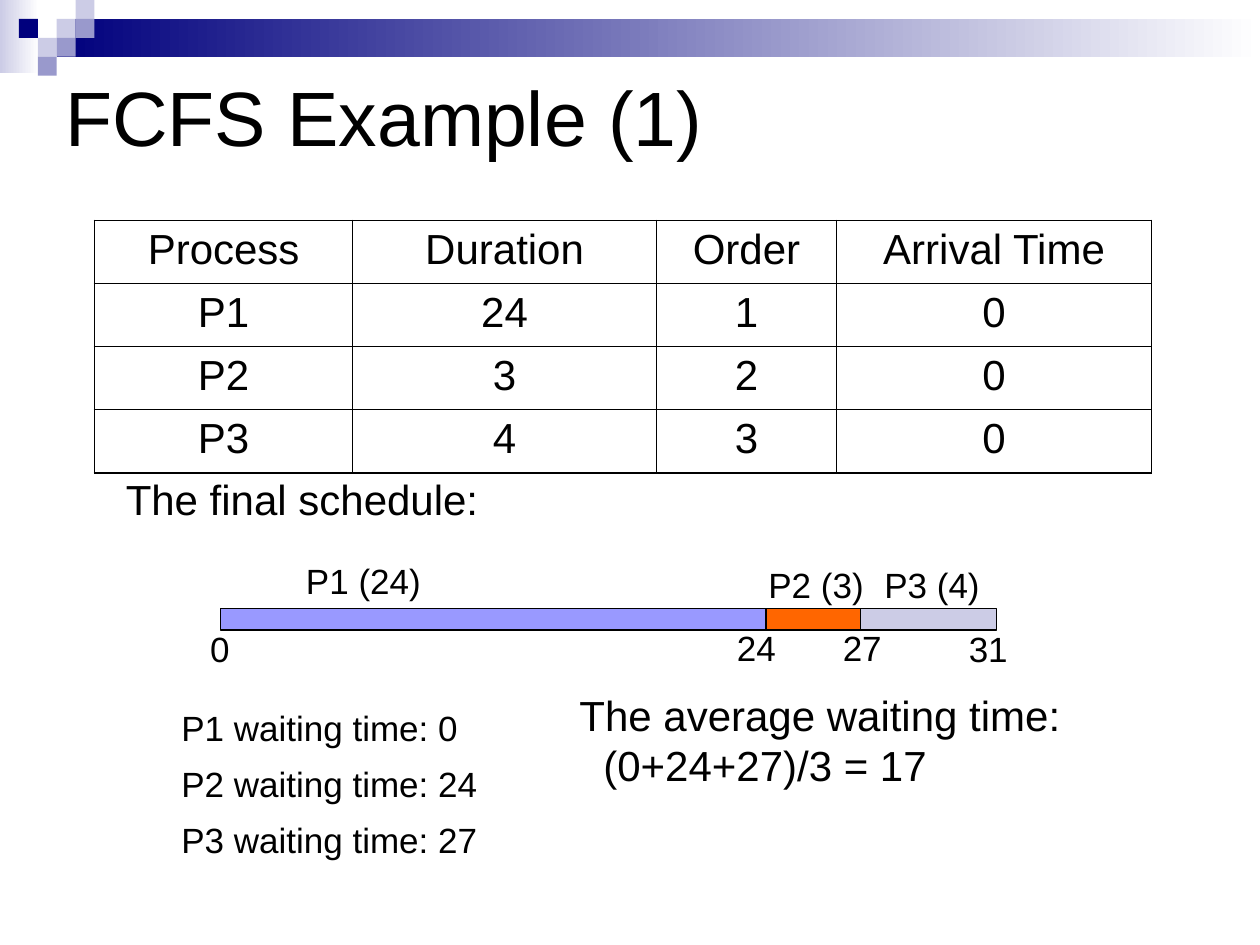
from lxml import etree
from pptx import Presentation
from pptx.dml.color import RGBColor
from pptx.enum.shapes import MSO_SHAPE
from pptx.enum.text import MSO_ANCHOR, PP_ALIGN
from pptx.oxml.ns import qn
from pptx.util import Inches, Pt

RECTANGLE = MSO_SHAPE.RECTANGLE
MIDDLE = MSO_ANCHOR.MIDDLE
TOP = MSO_ANCHOR.TOP
CENTER = PP_ALIGN.CENTER
FONT = "Arial"
COLORS = {
    "text": "000000", "white": "FFFFFF", "navy": "00007D", "lavender": "CCCCE6",
    "violet": "9999CC", "p1": "9999FF", "p2": "FF6600", "p3": "CCCCE6",
}


def rgb(name):
    return RGBColor.from_string(COLORS[name])


def add_run(paragraph, text, size):
    run = paragraph.add_run()
    run.text = text
    run.font.size = Pt(size)
    run.font.name = FONT
    run.font.color.rgb = rgb("text")


def add_label(slide, lines, left, top, width, height, size=20, anchor=TOP, wrap=False):
    """Place one paragraph for each (text, indent in inches) in lines."""
    label = slide.shapes.add_textbox(Inches(left), Inches(top), Inches(width), Inches(height))
    frame = label.text_frame
    frame.word_wrap = wrap
    frame.vertical_anchor = anchor
    for i, (text, indent) in enumerate(lines):
        paragraph = frame.add_paragraph() if i else frame.paragraphs[0]
        if indent:
            paragraph._p.get_or_add_pPr().set("marL", str(Inches(indent)))
        add_run(paragraph, text, size)


def add_block(slide, left, top, width, height, color, fade=False, outlined=False):
    block = slide.shapes.add_shape(
        RECTANGLE, Inches(left), Inches(top), Inches(width), Inches(height))
    block.shadow.inherit = False
    if fade:
        block.fill.gradient()
        block.fill.gradient_angle = 0
        for stop, name, position in zip(block.fill.gradient_stops, (color, "white"), (0, 1)):
            stop.color.rgb = rgb(name)
            stop.position = position
    else:
        block.fill.solid()
        block.fill.fore_color.rgb = rgb(color)
    if outlined:
        block.line.color.rgb = rgb("text")
        block.line.width = Pt(0.75)
    else:
        block.line.fill.background()


def add_banner(slide, left, top, width):
    """Draw the fading band and its mosaic of small squares."""
    unit = 0.15
    add_block(slide, left, top, 0.31, 0.58, "lavender", fade=True)
    add_block(slide, left + 3 * unit, top + unit, width - 3 * unit, 2 * unit, "navy", fade=True)
    mosaic = [(3, 1, "lavender"), (4, 0, "lavender"), (4, 1, "violet"), (2, 2, "lavender"),
              (1, 1, "navy"), (3, 2, "violet"), (2, 3, "violet")]
    for column, row, color in mosaic:
        add_block(slide, left + column * unit, top + row * unit, unit, unit, color)


def set_border(cell, side, points):
    line = etree.SubElement(cell._tc.get_or_add_tcPr(), qn(f"a:ln{side}"), w=str(Pt(points)))
    fill = etree.SubElement(line, qn("a:solidFill"))
    etree.SubElement(fill, qn("a:srgbClr"), val=COLORS["text"])


def add_process_table(slide, left, top, column_widths, row_height):
    rows = [
        ("Process", "Duration", "Order", "Arrival Time"),
        ("P1", "24", "1", "0"),
        ("P2", "3", "2", "0"),
        ("P3", "4", "3", "0"),
    ]
    outer, inner = 1.08, 0.45
    last_row, last_column = len(rows) - 1, len(column_widths) - 1
    table = slide.shapes.add_table(
        len(rows), len(column_widths), Inches(left), Inches(top),
        Inches(sum(column_widths)), Inches(row_height * len(rows))).table
    table.first_row = table.horz_banding = False
    for column, width in zip(table.columns, column_widths):
        column.width = Inches(width)
    for r, values in enumerate(rows):
        for c, value in enumerate(values):
            cell = table.cell(r, c)
            paragraph = cell.text_frame.paragraphs[0]
            paragraph.alignment = CENTER
            paragraph.space_before = Pt(6)
            add_run(paragraph, value, 24)
            edges = {"L": c == 0, "R": c == last_column, "T": r == 0, "B": r == last_row}
            for side, on_edge in edges.items():
                set_border(cell, side, outer if on_edge else inner)
            cell.fill.background()


def add_schedule(slide, left, top):
    """Draw the timeline bars, with process names above and times below."""
    bars = [(0, 4.42, "p1"), (4.33, 0.83, "p2"), (5.08, 1.08, "p3")]
    for offset, width, color in bars:
        add_block(slide, left + offset, top, width, 0.17, color, outlined=True)
    names = [("P1 (24)", 0.58, -0.44, 1.11), ("P2 (3)", 4.25, -0.41, 0.96),
             ("P3 (4)", 5.17, -0.41, 0.96)]
    times = [("0", -0.18, 0.1, 0.35), ("24", 4, 0.09, 0.51),
             ("27", 4.84, 0.09, 0.51), ("31", 5.84, 0.1, 0.51)]
    for text, dx, dy, width in names + times:
        add_label(slide, [(text, 0)], left + dx, top + dy, width, 0.44)


def add_waiting_times(slide, left, top, width):
    for i, wait in enumerate((0, 24, 27)):
        add_label(slide, [(f"P{i + 1} waiting time: {wait}", 0)],
                  left, top + i * 0.445, width, 0.44, wrap=True)


def main():
    presentation = Presentation()
    presentation.slide_width = Inches(10)
    presentation.slide_height = Inches(7.5)
    slide = presentation.slides.add_slide(presentation.slide_layouts[6])

    add_banner(slide, 0, 0, 10)
    add_label(slide, [("FCFS Example (1)", 0)], 0.42, 0.17, 9, 1.5, 44, MIDDLE, wrap=True)
    add_process_table(slide, 0.75, 1.75, (2.05, 2.41, 1.43, 2.5), 0.5)
    add_label(slide, [("The final schedule:", 0)], 0.9, 3.71, 3, 0.5, 24)
    add_schedule(slide, 1.75, 4.83)
    add_waiting_times(slide, 1.34, 5.56, 2.95)
    add_label(slide, [("The average waiting time:", 0), ("(0+24+27)/3 = 17", 0.19)],
              4.5, 5.42, 4.11, 0.9, 24, wrap=True)
    presentation.save("out.pptx")


if __name__ == "__main__":
    main()
